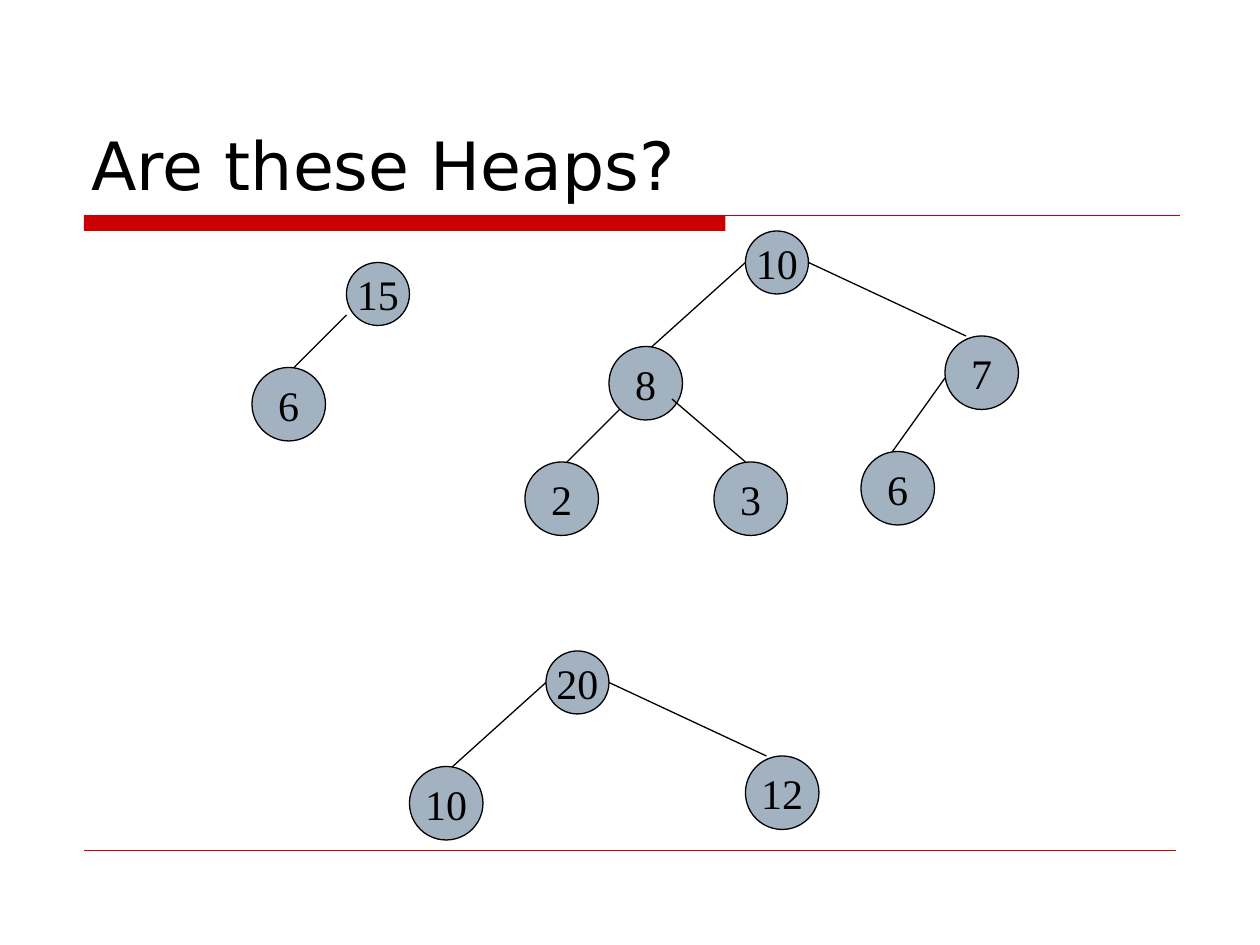
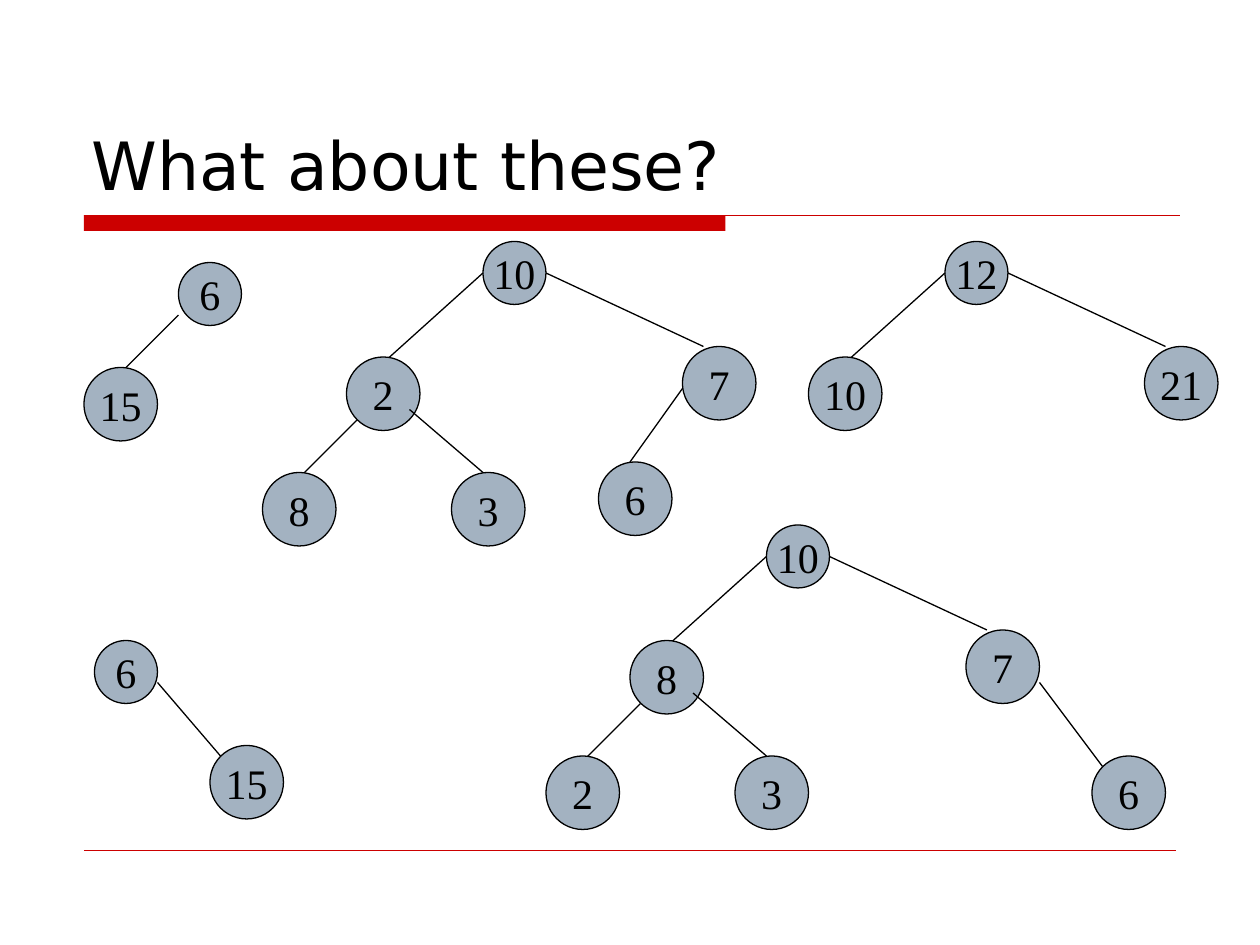
from lxml.etree import SubElement
from pptx import Presentation
from pptx.dml.color import RGBColor
from pptx.enum.shapes import MSO_CONNECTOR as CONN, MSO_SHAPE as SHAPE
from pptx.enum.text import MSO_ANCHOR as ANCHOR, MSO_AUTO_SIZE as FIT, PP_ALIGN as ALIGN
from pptx.oxml.ns import qn
from pptx.util import Pt

RED, BLACK, NODE_FILL = "CC0000", "000000", "A3B2C1"
TITLE_FONT, NODE_FONT = "DejaVu Sans", "Times New Roman"
ROOT_SIZE, CHILD_SIZE = 36, 42

# Offsets from the root's corner: child corner, edge start, edge end.
SLOTS = {
    "pair left": ((-54, 60), (0, 30), (-36, 66)),
    "pair right": ((66, 60), (36, 24), (72, 66)),
    "left": ((-78, 66), (0, 18), (-60, 72)),
    "right": ((114, 60), (36, 18), (126, 60)),
    "left left": ((-126, 132), (-72, 102), (-108, 138)),
    "left right": ((-18, 132), (-42, 96), (0, 132)),
    "right left": ((66, 126), (114, 84), (84, 126)),
    "right right": ((186, 132), (156, 90), (192, 138)),
}

SLIDES = [
    ("Are these Heaps?", [
        ((198, 150), "15", {"pair left": "6"}),
        ((426, 132), "10", {"left": "8", "right": "7", "right left": "6",
                            "left left": "2", "left right": "3"}),
        ((312, 372), "20", {"left": "10", "right": "12"}),
    ]),
    ("What about these?", [
        ((102, 150), "6", {"pair left": "15"}),
        ((276, 138), "10", {"left": "2", "right": "7", "right left": "6",
                            "left left": "8", "left right": "3"}),
        ((540, 138), "12", {"left": "10", "right": "21"}),
        ((54, 366), "6", {"pair right": "15"}),
        ((438, 300), "10", {"left": "8", "right": "7", "right right": "6",
                            "left left": "2", "left right": "3"}),
    ]),
]


def rgb(value):
    return RGBColor.from_string(value)


def style_text(p, font, size, align):
    p.alignment = align
    for r in p.runs:
        r.font.name = font
        r.font.size = Pt(size)
        r.font.color.rgb = rgb(BLACK)


def add_line(shapes, start, end, color=BLACK, width=0.75):
    line = shapes.add_connector(CONN.STRAIGHT, *map(Pt, start + end))
    line.line.color.rgb = rgb(color)
    line.line.width = Pt(width)
    SubElement(line._element.spPr, qn("a:effectLst"))


def add_solid(shapes, kind, x, y, w, h, fill):
    sp = shapes.add_shape(kind, Pt(x), Pt(y), Pt(w), Pt(h))
    sp.shadow.inherit = False
    sp.fill.solid()
    sp.fill.fore_color.rgb = rgb(fill)
    return sp


def add_node(shapes, corner, size, label):
    sp = add_solid(shapes, SHAPE.OVAL, *corner, size, size, NODE_FILL)
    sp.line.color.rgb = rgb(BLACK)
    sp.line.width = Pt(0.75)
    tf = sp.text_frame
    tf.word_wrap = False
    tf.vertical_anchor = ANCHOR.MIDDLE
    tf.text = label
    style_text(tf.paragraphs[0], NODE_FONT, 24, ALIGN.CENTER)


def add_tree(s, root, label, children):
    def place(offset):
        return root[0] + offset[0], root[1] + offset[1]

    shapes = s.shapes.add_group_shape().shapes
    add_node(shapes, root, ROOT_SIZE, label)
    for slot, child in children.items():
        corner, start, end = map(place, SLOTS[slot])
        add_line(shapes, start, end)
        add_node(shapes, corner, CHILD_SIZE, child)


def add_frame(s, title):
    bar = add_solid(s.shapes, SHAPE.RECTANGLE, 48, 123, 366.5, 9, RED)
    bar.line.fill.background()
    add_line(s.shapes, (48, 123), (674.5, 123), RED)
    add_line(s.shapes, (48, 486), (672, 486), RED, 0.25)
    sp = s.shapes.title
    sp.left, sp.top, sp.width, sp.height = map(Pt, (45, 24, 630, 96))
    tf = sp.text_frame
    tf.text = title
    tf.word_wrap = True
    tf.auto_size = FIT.NONE
    tf.vertical_anchor = ANCHOR.BOTTOM
    style_text(tf.paragraphs[0], TITLE_FONT, 38, ALIGN.LEFT)


def main():
    prs = Presentation()
    prs.slide_width, prs.slide_height = Pt(720), Pt(540)
    for title, trees in SLIDES:
        s = prs.slides.add_slide(prs.slide_layouts[5])
        add_frame(s, title)
        for tree in trees:
            add_tree(s, *tree)
    prs.save("out.pptx")


if __name__ == "__main__":
    main()
